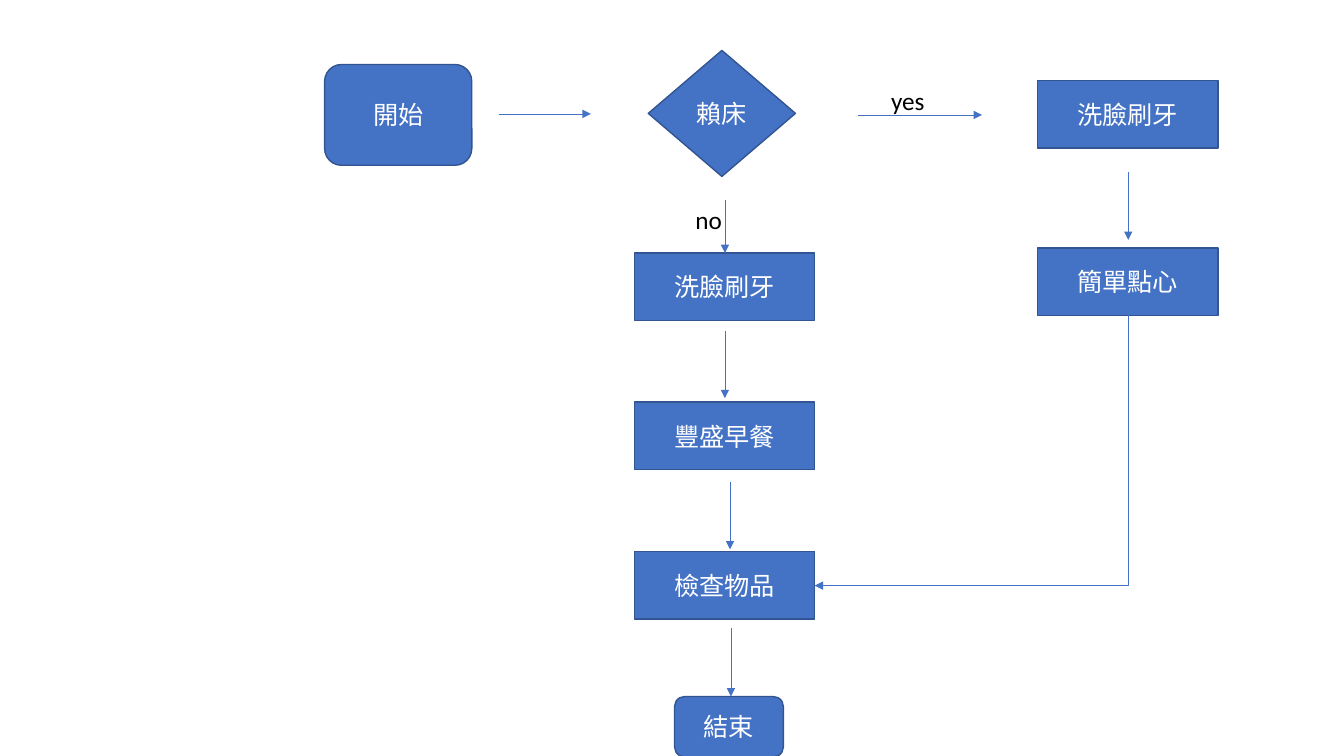
from pptx import Presentation
from pptx import util as u
from pptx.dml.color import RGBColor
from pptx.enum import shapes, text
from pptx.oxml.ns import qn
from lxml import etree

PX = 9144  # 100 px to the inch
COLORS = {"fill": "4472C4", "outline": "325491", "light": "FFFFFF", "dark": "000000"}
FONT = "Calibri"
STEP_WIDTH, STEP_HEIGHT = 179, 67
KIND = shapes.MSO_SHAPE


def px(*lengths):
    return [u.Emu(length * PX) for length in lengths]


def color(name):
    return RGBColor.from_string(COLORS[name])


def write(frame, content, size=18, ink="dark", align=None, anchor=None):
    if anchor is not None:
        frame.vertical_anchor = anchor
    paragraph = frame.paragraphs[0]
    paragraph.alignment = align
    run = paragraph.add_run()
    run.text = content
    run.font.size = u.Pt(size)
    run.font.name = FONT
    run.font.color.rgb = color(ink)


def add_node(slide, kind, box, content):
    shape = slide.shapes.add_shape(kind, *px(*box))
    shape.shadow.inherit = False
    shape.fill.solid()
    shape.fill.fore_color.rgb = color("fill")
    shape.line.color.rgb = color("outline")
    shape.line.width = u.Pt(1)
    write(shape.text_frame, content, ink="light",
          align=text.PP_ALIGN.CENTER, anchor=text.MSO_ANCHOR.MIDDLE)


def add_step(slide, left, top, content):
    add_node(slide, KIND.FLOWCHART_PROCESS, (left, top, STEP_WIDTH, STEP_HEIGHT), content)


def add_label(slide, box, content, wrap):
    frame = slide.shapes.add_textbox(*px(*box)).text_frame
    frame.word_wrap = wrap
    frame.auto_size = text.MSO_AUTO_SIZE.SHAPE_TO_FIT_TEXT
    write(frame, content)


def add_arrow(slide, start, end, kind=shapes.MSO_CONNECTOR.STRAIGHT):
    connector = slide.shapes.add_connector(kind, *px(*start, *end))
    connector.line.color.rgb = color("fill")
    connector.line.width = u.Pt(0.5)
    etree.SubElement(connector.line._get_or_add_ln(), qn("a:tailEnd"), type="triangle")
    etree.SubElement(connector._element.spPr, qn("a:effectLst"))
    return connector


def add_corner_arrow(slide, start, end):
    """Runs down from start, then left to end: a one-bend connector turned by 90 degrees."""
    connector = add_arrow(slide, start, end, shapes.MSO_CONNECTOR.ELBOW)
    across, down = start[0] - end[0], end[1] - start[1]
    properties = connector._element.spPr
    properties.find(qn("a:prstGeom")).set("prst", "bentConnector2")
    frame = properties.find(qn("a:xfrm"))
    frame.attrib.pop("flipH", None)
    frame.set("rot", str(90 * 60000))
    center_x, center_y = (start[0] + end[0]) / 2, (start[1] + end[1]) / 2
    connector.left = u.Emu(int((center_x - down / 2) * PX))
    connector.top = u.Emu(int((center_y - across / 2) * PX))
    connector.width, connector.height = px(down, across)


# Top row: start, decision and the way to the right-hand branch
def build_decision_row(slide, left, top):
    add_node(slide, KIND.ROUNDED_RECTANGLE, (left, top + 14, 146, 100), "開始")
    add_arrow(slide, (left + 173, top + 63), (left + 264, top + 63))
    add_node(slide, KIND.DIAMOND, (left + 321, top, 146, 125), "賴床")
    add_arrow(slide, (left + 529, top + 64), (left + 652, top + 64))
    add_label(slide, (left + 552, top + 30, 70, 40), "yes", wrap=True)


# Middle column: the "no" branch down to the end
def build_no_branch(slide, left, top):
    add_label(slide, (left + 51, top, 47, 40), "no", wrap=False)
    for row, content in enumerate(("洗臉刷牙", "豐盛早餐", "檢查物品")):
        add_step(slide, left, top + 53 + row * 148, content)
    for x, start, end in ((90, 0, 53), (90, 130, 197), (95, 280, 347), (96, 425, 493)):
        add_arrow(slide, (left + x, top + start), (left + x, top + end))
    add_node(slide, KIND.ROUNDED_RECTANGLE, (left + 40, top + 493, 108, 60), "結束")


# Right column: the "yes" branch, which returns to the middle column
def build_yes_branch(slide, left, top, return_point):
    middle = left + 90
    add_step(slide, left, top, "洗臉刷牙")
    add_arrow(slide, (middle, top + 91), (middle, top + 158))
    add_step(slide, left, top + 166, "簡單點心")
    add_corner_arrow(slide, (middle, top + 166 + STEP_HEIGHT), return_point)


def main():
    presentation = Presentation()
    presentation.slide_width, presentation.slide_height = px(1333, 750)
    slide = presentation.slides.add_slide(presentation.slide_layouts[6])
    build_decision_row(slide, 322, 50)
    build_no_branch(slide, 629, 198)
    build_yes_branch(slide, 1029, 80, return_point=(629 + STEP_WIDTH, 581))
    presentation.save("out.pptx")


if __name__ == "__main__":
    main()
